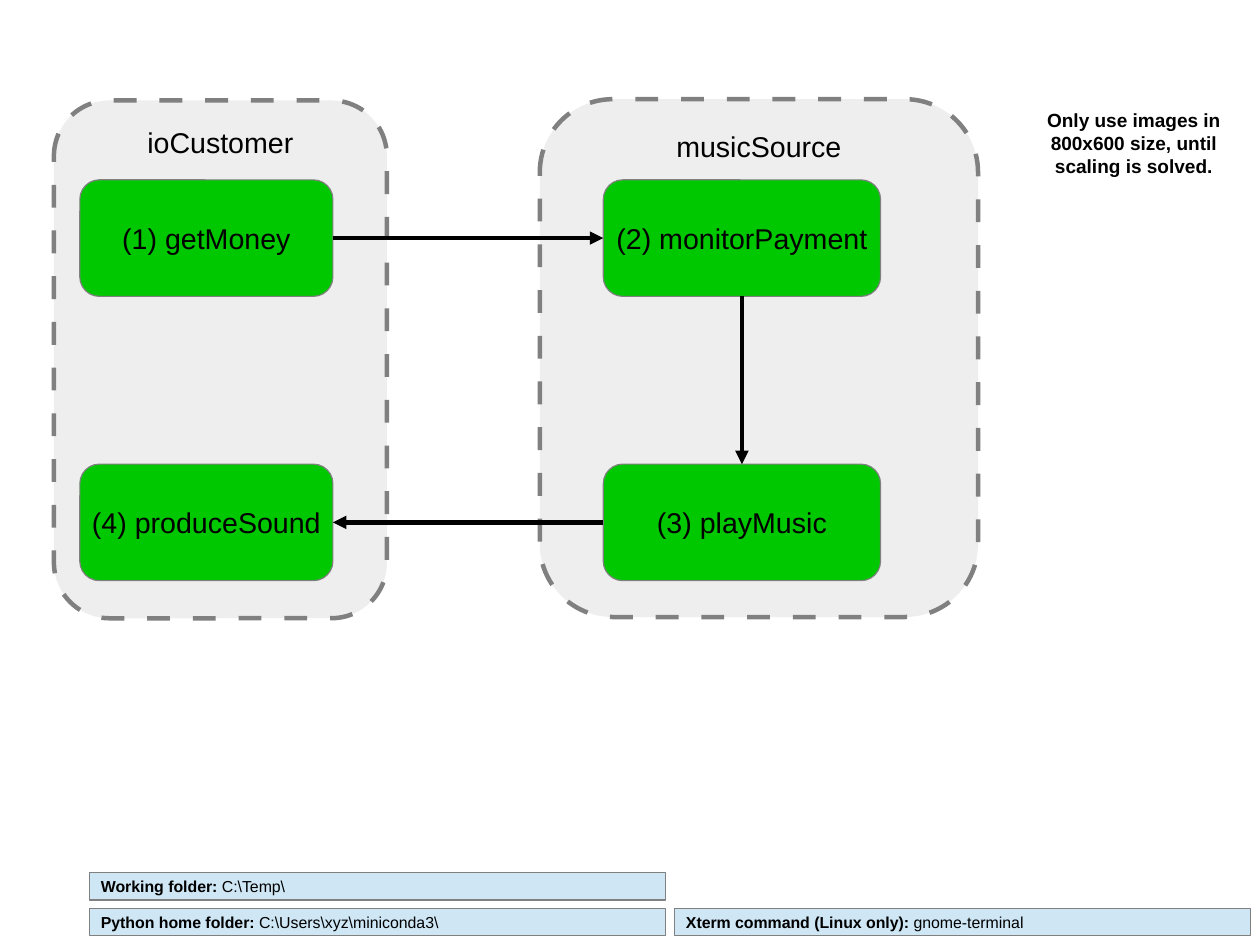
from lxml import etree
from pptx import Presentation
from pptx.dml.color import RGBColor
from pptx.enum.shapes import MSO_CONNECTOR, MSO_SHAPE
from pptx.enum.text import MSO_ANCHOR, PP_ALIGN
from pptx.oxml.ns import qn
from pptx.util import Pt


def paint(color_format, hex_color):
    color_format.rgb = RGBColor.from_string(hex_color)


def add_box(kind, x, y, w, h, fill, line_width, runs, size, align, anchor):
    """Add a filled shape whose text is a list of (text, bold) runs."""
    sp = slide.shapes.add_shape(kind, Pt(x), Pt(y), Pt(w), Pt(h))
    sp.shadow.inherit = False
    sp.fill.solid()
    paint(sp.fill.fore_color, fill)
    paint(sp.line.color, "808080")
    sp.line.width = Pt(line_width)
    tf = sp.text_frame
    tf.word_wrap = False
    tf.vertical_anchor = anchor
    p = tf.paragraphs[0]
    p.alignment = align
    p.font.size = Pt(size)
    p.font.name = "Arial"
    paint(p.font.color, "000000")
    for text, bold in runs:
        r = p.add_run()
        r.text = text
        r.font.bold = bold
    return sp


prs = Presentation()
prs.slide_width, prs.slide_height = Pt(793.6), Pt(595.3)
slide = prs.slides.add_slide(prs.slide_layouts[6])

# Dashed groups
for name, x, y, w in [("musicSource", 340, 62.5, 276), ("ioCustomer", 34, 63.3, 209.7)]:
    sp = add_box(MSO_SHAPE.ROUNDED_RECTANGLE, x, y, w, 326.2, "EEEEEE", 2.83,
                 [(name, False)], 18, PP_ALIGN.CENTER, MSO_ANCHOR.TOP)
    sp.text_frame.margin_top = Pt(5)
    dashes = etree.SubElement(sp.line._get_or_add_ln(), qn("a:custDash"))
    etree.SubElement(dashes, qn("a:ds"), d="508000", sp="508000")

# Steps
left, right = (50.3, 159.4), (380, 174.6)
top_row, bottom_row = 113.3, 292.4
steps = []
for name, (x, w), y in [("(1) getMoney", left, top_row),
                        ("(2) monitorPayment", right, top_row),
                        ("(3) playMusic", right, bottom_row),
                        ("(4) produceSound", left, bottom_row)]:
    steps.append(add_box(MSO_SHAPE.ROUNDED_RECTANGLE, x, y, w, 73.4, "00C800", 0,
                         [(name, False)], 18, PP_ALIGN.CENTER, MSO_ANCHOR.MIDDLE))

# Arrows from each step to the next: sides 0 top, 1 left, 2 bottom, 3 right
for i, (begin_side, end_side) in enumerate([(3, 1), (2, 0), (1, 3)]):
    arrow = slide.shapes.add_connector(MSO_CONNECTOR.STRAIGHT, 0, 0, 0, 0)
    arrow.begin_connect(steps[i], begin_side)
    arrow.end_connect(steps[i + 1], end_side)
    paint(arrow.line.color, "000000")
    arrow.line.width = Pt(2.83)
    etree.SubElement(arrow.line._get_or_add_ln(), qn("a:tailEnd"), type="triangle")
    etree.SubElement(arrow._element.spPr, qn("a:effectLst"))

# Settings
for label, value, x, y in [
    ("Working folder:", " C:\\Temp\\", 56.5, 549.8),
    ("Xterm command (Linux only):", " gnome-terminal", 425, 572.4),
    ("Python home folder:", " C:\\Users\\xyz\\miniconda3\\", 56.5, 572.4),
]:
    sp = add_box(MSO_SHAPE.RECTANGLE, x, y, 362.9, 17.2, "CFE7F5", 0,
                 [(label, True), (value, False)], 10, PP_ALIGN.LEFT, MSO_ANCHOR.MIDDLE)
    sp.text_frame.word_wrap = True

# Note
note = slide.shapes.add_textbox(Pt(649.4), Pt(65), Pt(129.6), Pt(50.4))
tf = note.text_frame
tf.word_wrap = True
p = tf.paragraphs[0]
p.text = "Only use images in 800x600 size, until scaling is solved."
p.alignment = PP_ALIGN.CENTER
p.font.size = Pt(12)
p.font.name = "Arial"
p.font.bold = True
paint(p.font.color, "000000")

prs.save("out.pptx")
